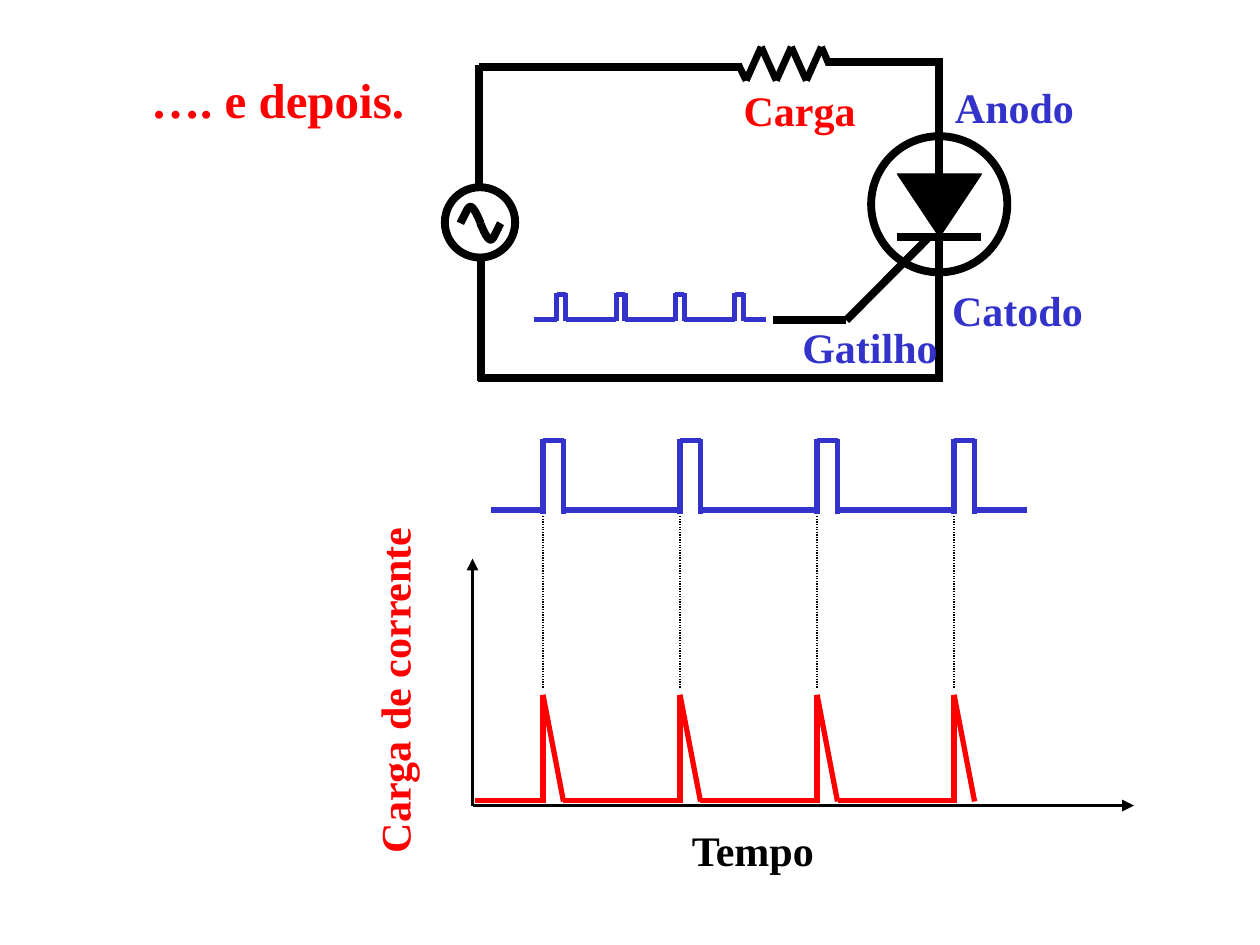
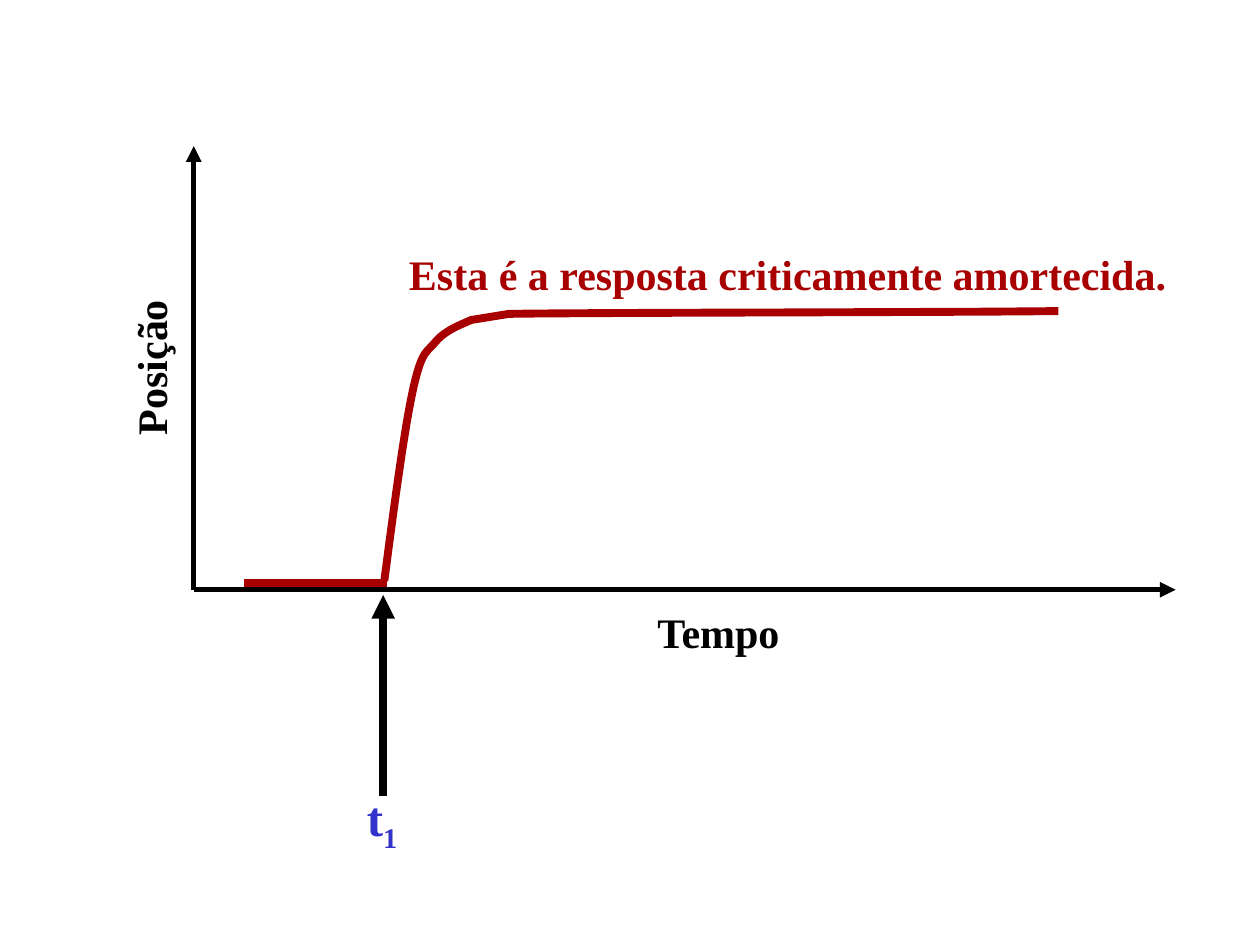
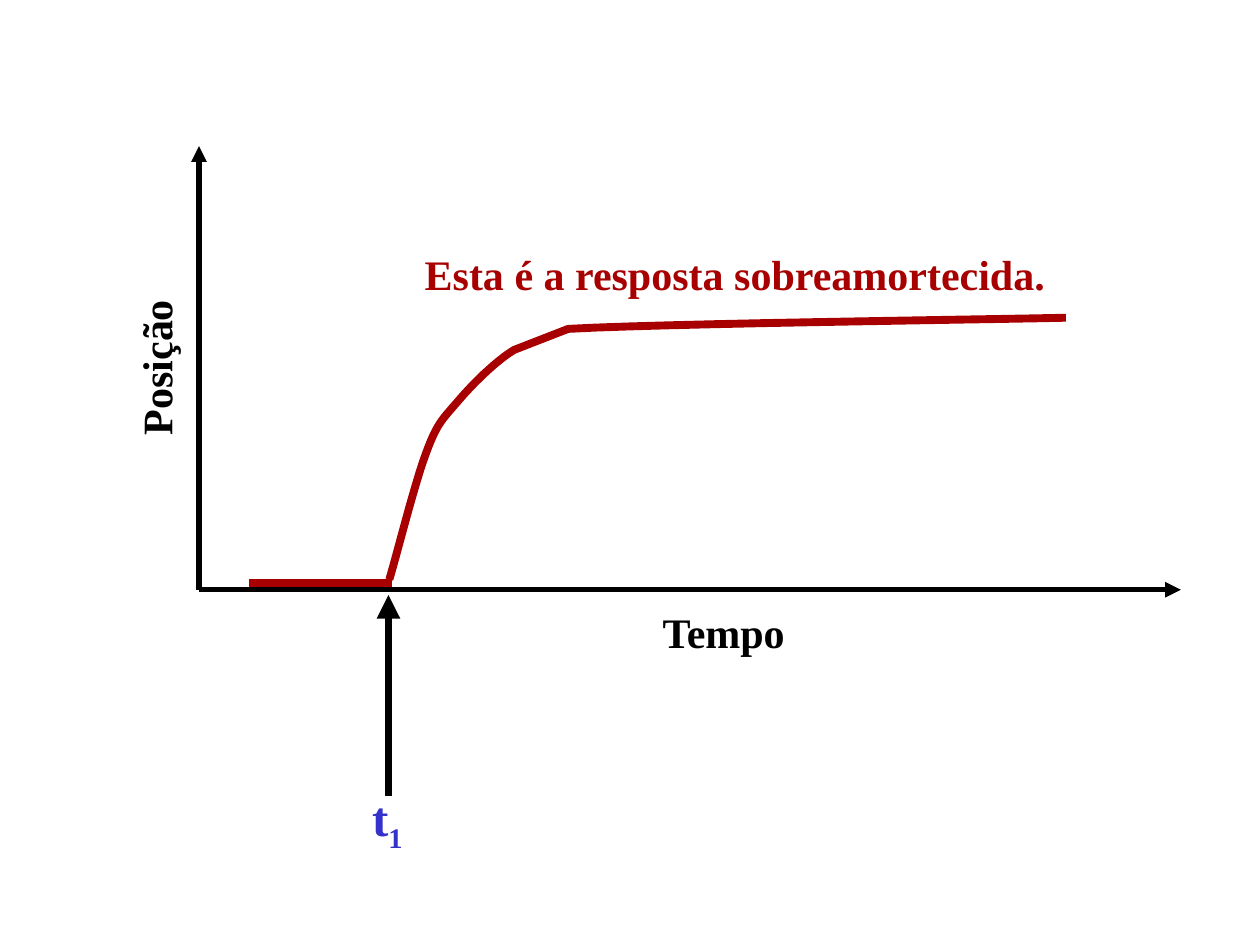
import lxml.etree
import pptx
import pptx.dml.color
import pptx.enum.dml
import pptx.enum.shapes
import pptx.enum.text
import pptx.oxml.ns
import pptx.util

Pt = pptx.util.Pt
Shapes = pptx.enum.shapes.MSO_SHAPE
BLACK, RED, BLUE, DARK_RED = "000000", "FF0000", "3333CC", "A80000"
THICK, MEDIUM, AXIS, HAIR = 4.5, 3, 2.25, 0.75


def color(hex_string):
    return pptx.dml.color.RGBColor.from_string(hex_string)


def bezier(start, first, second, end, steps=12):
    """Points along a cubic curve, without its start."""
    points = []
    for step in range(1, steps + 1):
        t = step / steps
        weights = ((1 - t) ** 3, 3 * t * (1 - t) ** 2, 3 * t * t * (1 - t), t ** 3)
        corners = (start, first, second, end)
        points.append(tuple(sum(w * c[axis] for w, c in zip(weights, corners))
                            for axis in (0, 1)))
    return points


class Sketch:
    """Holds the shared style and the current slide; lengths are in points."""

    font = "Times New Roman"

    def __init__(self):
        self.deck = pptx.Presentation()
        self.deck.slide_width, self.deck.slide_height = Pt(720), Pt(540)
        self.page = None

    def new_page(self):
        self.page = self.deck.slides.add_slide(self.deck.slide_layouts[6])

    def stroke(self, item, ink, width):
        item.line.color.rgb = color(ink)
        item.line.width = Pt(width)

    def line(self, start, end, ink=BLACK, width=THICK, arrow=False, dotted=False):
        connector = self.page.shapes.add_connector(
            pptx.enum.shapes.MSO_CONNECTOR.STRAIGHT,
            *(Pt(value) for value in (*start, *end)))
        self.stroke(connector, ink, width)
        if dotted:
            connector.line.dash_style = pptx.enum.dml.MSO_LINE.ROUND_DOT
        properties = connector._element.spPr
        qn = pptx.oxml.ns.qn
        if arrow:
            outline = properties.find(qn("a:ln"))
            lxml.etree.SubElement(outline, qn("a:tailEnd"), type="triangle")
        lxml.etree.SubElement(properties, qn("a:effectLst"))

    def chain(self, points, ink=BLACK, width=THICK):
        for start, end in zip(points, points[1:]):
            self.line(start, end, ink, width)

    def curve(self, start, pieces, ink=BLACK, width=THICK):
        """Each piece is one point (straight) or three (cubic curve)."""
        points = [start]
        for piece in pieces:
            points += bezier(points[-1], *piece) if len(piece) == 3 else piece
        points = [(Pt(x), Pt(y)) for x, y in points]
        builder = self.page.shapes.build_freeform(*points[0], scale=1.0)
        builder.add_line_segments(points[1:], close=False)
        outline = builder.convert_to_shape()
        outline.shadow.inherit = False
        outline.fill.background()
        self.stroke(outline, ink, width)

    def shape(self, kind, left, top, width, height, fill=None, border=THICK):
        item = self.page.shapes.add_shape(kind, Pt(left), Pt(top), Pt(width), Pt(height))
        item.shadow.inherit = False
        if fill:
            item.fill.solid()
            item.fill.fore_color.rgb = color(fill)
        else:
            item.fill.background()
        self.stroke(item, BLACK, border)
        return item

    def label(self, text, left, top, width, height=36, ink=BLACK, size=24,
              subscript=None, upright=False, centered=False):
        box = self.page.shapes.add_textbox(Pt(left), Pt(top), Pt(width), Pt(height))
        box.rotation = 270 if upright else 0
        frame = box.text_frame
        frame.word_wrap = False
        frame.auto_size = pptx.enum.text.MSO_AUTO_SIZE.SHAPE_TO_FIT_TEXT
        para = frame.paragraphs[0]
        if centered:
            para.alignment = pptx.enum.text.PP_ALIGN.CENTER
        for part in filter(None, (text, subscript)):
            span = para.add_run()
            span.text = part
            span.font.name, span.font.size, span.font.bold = self.font, Pt(size), True
            span.font.color.rgb = color(ink)
            if part == subscript:
                span._r.get_or_add_rPr().set("baseline", "-25000")

    def axes(self, left, bottom, right, top, width):
        self.line((left, bottom), (right, bottom), width=width, arrow=True)
        self.line((left, bottom), (left, top), width=width, arrow=True)

    def pulse_train(self, starts, pulse, left, right, base, top, overhang):
        """Square pulses rising from a base line."""
        edge = left
        for start in starts:
            end = start + pulse
            self.line((edge, base), (start, base), BLUE, MEDIUM)
            for x in (start, end):
                self.line((x, base + overhang), (x, top - 0.7), BLUE, MEDIUM)
            self.line((start, top), (end, top), BLUE, MEDIUM)
            edge = end
        self.line((edge, base), (right, base), BLUE, MEDIUM)

    def current_peaks(self, starts, fall, left, base, top):
        """Sharp rises, each with a sloping fall."""
        edge = left
        for start in starts:
            self.line((edge, base), (start + 1, base), RED, MEDIUM)
            self.line((start, top), (start, base + 1.4), RED, MEDIUM)
            self.line((start, top), (start + fall, base + 0.7), RED, MEDIUM)
            edge = start + fall


def thyristor_page(sketch):
    sketch.new_page()
    # Thyristor and its gate
    middle, bar = 536.8, 135.4
    triangle = sketch.shape(Shapes.ISOSCELES_TRIANGLE, 512.8, 99.4, 48, 36, BLACK, HAIR)
    triangle.rotation = 180
    sketch.line((512.8, bar), (560.8, bar))
    sketch.line((middle, bar), (middle, 218))
    sketch.line((middle, 33.2), (middle, 99.4))
    sketch.shape(Shapes.OVAL, 497.8, 77.8, 77.8, 77.8)
    sketch.chain([(530.8, 135.6), (483.6, 183), (442, 183)])

    # Load resistor and wires
    zigzag = [(426.4 + 8.6 * turn, 26.8 if turn % 2 else 46) for turn in range(6)]
    sketch.chain([(422, 37), *zigzag, (473.8, 37)], width=4)
    sketch.line((273.8, 108.5), (273.8, 37))
    sketch.line((273.8, 38.2), (424, 38.2))
    sketch.line((538.6, 35.5), (472.4, 35.5))
    sketch.line((275, 218), (275, 146.4))
    sketch.line((273, 216), (538.6, 216))

    # Alternating source: the wave is point-symmetric about its centre
    sketch.shape(Shapes.OVAL, 254.2, 107, 40.2, 40.2)
    half_wave = [((0, -0.7), (-2.2, -5), (-2.9, -6.5)),
                 ((-4.3, -8.6), (-5, -9.4), (-5.8, -9.4)),
                 ((-6.5, -9.4), (-7.2, -8.6), (-7.9, -7.2)),
                 ((-8.6, -5.8), (-10.8, -1.4), (-11.5, 0))]
    center = (274.6, 127.6)
    for sign in (1, -1):
        sketch.curve(center, [[(center[0] + sign * x, center[1] + sign * y)
                               for x, y in piece] for piece in half_wave])

    # Gate pulses, load current and the lines that join them
    gate_starts = [318.2 + 33.9 * number for number in range(4)]
    starts = [310.3 + 78.3 * number for number in range(4)]
    sketch.axes(270, 460.3, 648, 319.2, AXIS)
    sketch.pulse_train(gate_starts, 5.1, 305.2, 437.8, 182.7, 168.2, 0.8)
    sketch.pulse_train(starts, 11.8, 280.6, 586.7, 291.5, 251.8, 2)
    sketch.current_peaks(starts, 11.7, 271.4, 457.3, 397)
    for start in starts:
        sketch.line((start, 295), (start, 393.4), width=HAIR, dotted=True)

    # Labels
    sketch.label("Gatilho", 451.4, 180, 95, ink=BLUE)
    sketch.label("Anodo", 538.6, 42.8, 86, ink=BLUE)
    sketch.label("Catodo", 537, 159, 92, ink=BLUE)
    sketch.label("Carga de corrente", 139, 362, 201, 64.8, RED, upright=True, centered=True)
    sketch.label("Tempo", 388.2, 467.6, 90, 64.8)
    sketch.label("Carga", 417.8, 44.6, 82, ink=RED)
    sketch.label("…. e depois.", 77.2, 36, 163, 41, RED, 28, centered=True)


def response_page(sketch, shift, caption, caption_left, caption_width, start, pieces):
    """Position against time; shift moves the diagram to the right."""
    sketch.new_page()
    sketch.axes(110.7 + shift, 337, 671.8 + shift, 83.5, MEDIUM)
    sketch.line((219 + shift, 455), (219 + shift, 340), arrow=True)
    sketch.label("Posição", 38.5 + shift, 190.3, 95, upright=True)
    sketch.label("Tempo", 368.6 + shift, 343, 90)
    sketch.label("t", 202.5 + shift, 446.6, 35, 45.4, BLUE, 28, subscript="1")
    sketch.label(caption, caption_left, 138.5, caption_width, ink=DARK_RED)
    sketch.line((139.2 + shift, 333), (221 + shift, 333), DARK_RED)
    sketch.curve(start, pieces, DARK_RED)


def main():
    sketch = Sketch()
    thyristor_page(sketch)
    response_page(
        sketch, 0, "Esta é a resposta criticamente amortecida.", 226.6, 450, (219.6, 332),
        [[(225.4, 288), (231.1, 244.8), (236.2, 221.8)],
         [(241.2, 199.4), (244.1, 201.6), (249.1, 195.1)],
         [(254.9, 188.6), (262.8, 185.8), (269.3, 182.9)],
         [(290.9, 179.4)],
         [(346.3, 178.6), (539.3, 178.6), (604.8, 177.8)]])
    response_page(
        sketch, 3, "Esta é a resposta sobreamortecida.", 235.6, 373, (222.5, 331.2),
        [[(226.1, 319.7), (236.9, 276.5), (243.4, 259.2)],
         [(249.8, 241.9), (252.7, 239.8), (261.4, 229.7)],
         [(270, 219.6), (283, 206.6), (293.8, 200)],
         [(324.7, 188)],
         [(377.3, 185), (550.1, 182.9), (609.1, 181.6)]])
    sketch.deck.save("out.pptx")


if __name__ == "__main__":
    main()
